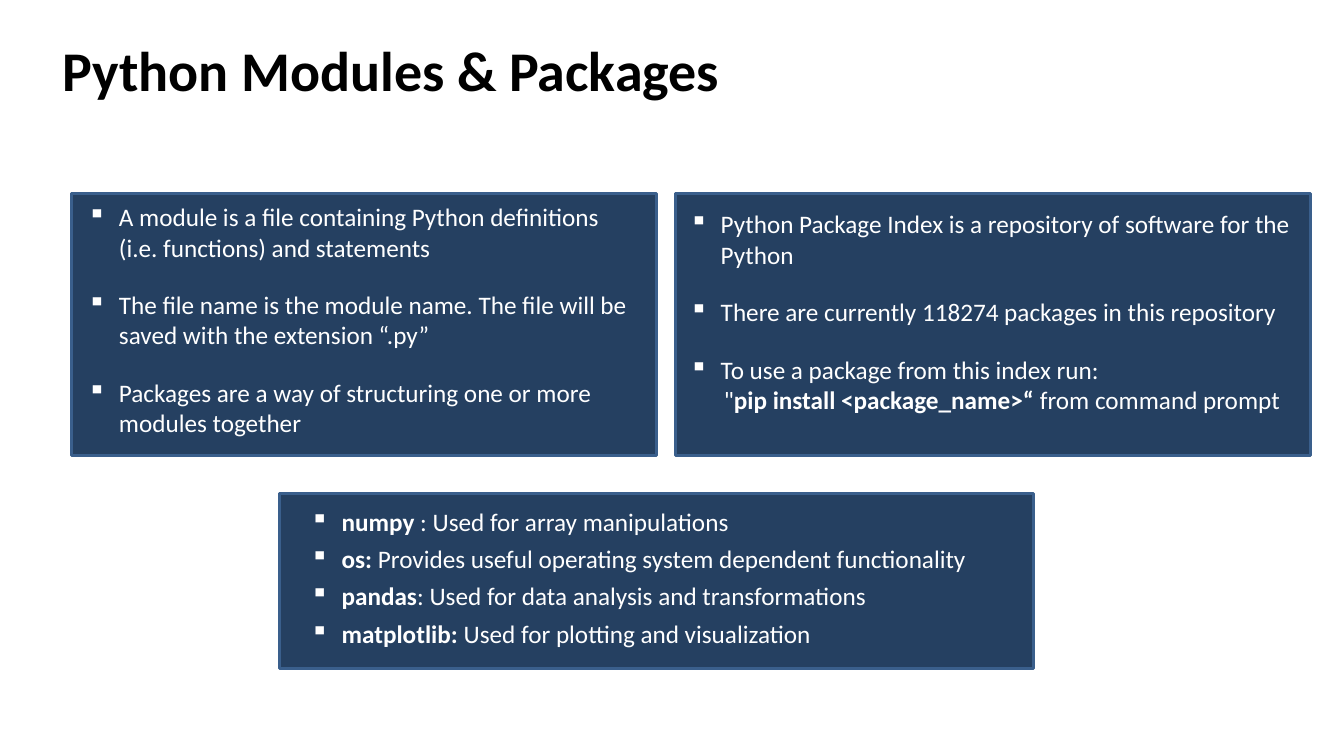
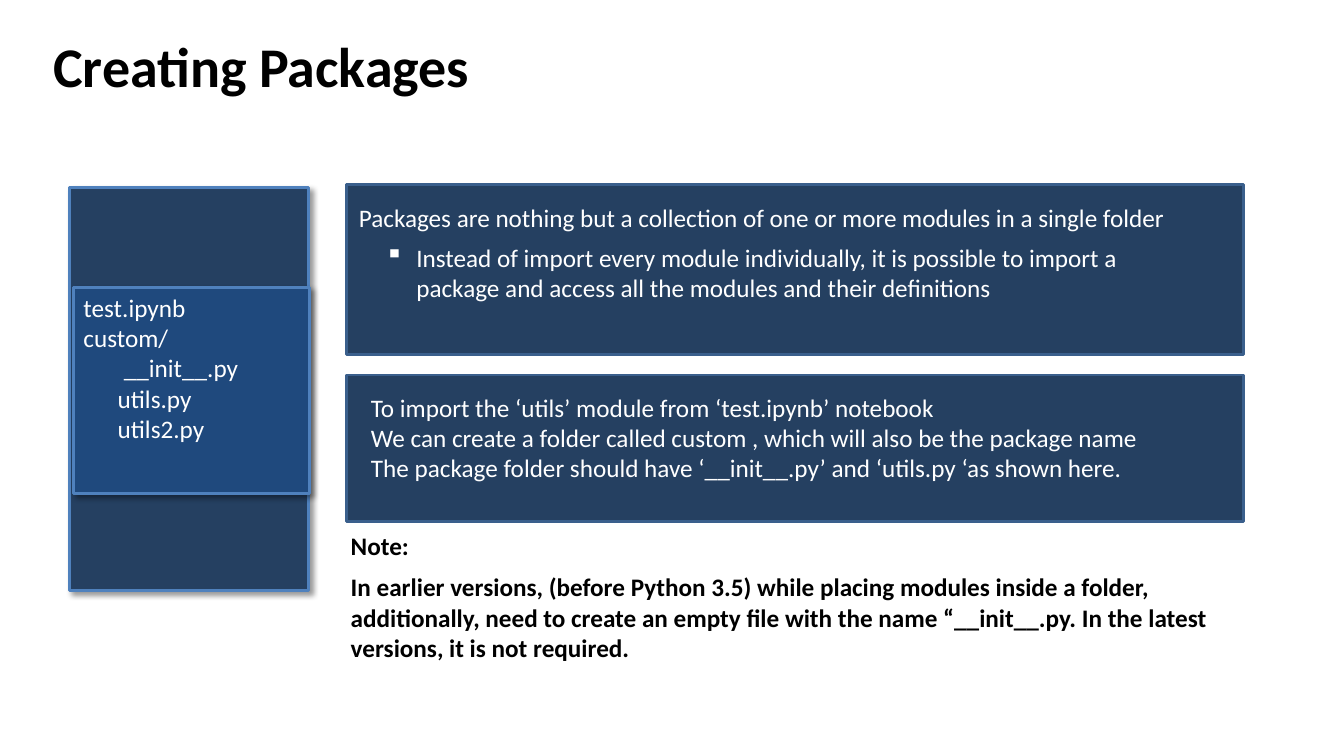
from dataclasses import dataclass
from typing import Any, NamedTuple

from lxml import etree
from pptx import Presentation
from pptx import util as u
from pptx.dml.color import RGBColor
from pptx.enum import shapes, text
from pptx.oxml import ns

CELL = 0.1
COLS, ROWS = 133.33, 75
FONT = "Calibri"
BODY, HEAD = 18, 40
WHITE, BLACK = "FFFFFF", "000000"
NAVY, BLUE = "254061", "1F497D"
EDGE, BRIGHT = "3A5F8C", "4F81BD"
HANG = 3.1
ITEM_GAP = 19.5


class Box(NamedTuple):
    col: float
    row: float
    cols: float
    rows: float


class Run(NamedTuple):
    text: str
    bold: bool = False


@dataclass(frozen=True)
class Para:
    runs: tuple[Run, ...]
    bullet: bool = False
    indent: float = 0
    before: float = 0
    after: float = 0
    spacing: Any = None


@dataclass(frozen=True)
class Panel:
    box: Box
    fill: str = NAVY
    edge: str = EDGE
    shadow: bool = False


@dataclass(frozen=True)
class Block:
    box: Box
    paras: tuple[Para, ...]
    color: str = WHITE


def grid(n: float) -> int:
    return u.Inches(n * CELL)


def rgb(value: str) -> RGBColor:
    return RGBColor.from_string(value)


def place(box: Box) -> tuple[int, ...]:
    return tuple(grid(n) for n in box)


def line(words: str, bold: bool = False, **style: Any) -> Para:
    return Para((Run(words, bold),), **style)


def items(*lines: str) -> tuple[Para, ...]:
    return tuple(line(words, bullet=True, before=ITEM_GAP if i else 0)
                 for i, words in enumerate(lines))


def library(name: str, use: str) -> Para:
    return Para((Run(name, True), Run(use)), bullet=True, after=8, spacing=u.Pt(18.7))


def write(tf: Any, paras: tuple[Para, ...], color: str, size: int = BODY) -> None:
    tf.word_wrap = True
    for i, para in enumerate(paras):
        p = tf.paragraphs[0] if i == 0 else tf.add_paragraph()
        p.alignment = text.PP_ALIGN.LEFT
        p.space_before, p.space_after = u.Pt(para.before), u.Pt(para.after)
        if para.spacing:
            p.line_spacing = para.spacing
        pPr = p._p.get_or_add_pPr()
        pPr.set("marL", str(grid(HANG if para.bullet else para.indent)))
        pPr.set("indent", str(-grid(HANG) if para.bullet else 0))
        if para.bullet:
            etree.SubElement(pPr, ns.qn("a:buChar")).set("char", "▪")
        for run in para.runs:
            r = p.add_run()
            r.text = run.text
            r.font.name, r.font.size, r.font.bold = FONT, u.Pt(size), run.bold
            r.font.color.rgb = rgb(color)


def cast_shadow(sp: Any) -> None:
    effects = sp._element.spPr.find(ns.qn("a:effectLst"))
    outer = etree.SubElement(effects, ns.qn("a:outerShdw"), blurRad=str(u.Pt(4)),
                             dist=str(u.Pt(3)), dir=str(45 * 60000),
                             algn="tl", rotWithShape="0")
    color = etree.SubElement(outer, ns.qn("a:srgbClr"), val=BLACK)
    etree.SubElement(color, ns.qn("a:alpha"), val="40000")


def add_panel(parent: Any, panel: Panel) -> Any:
    sp = parent.add_shape(shapes.MSO_SHAPE.RECTANGLE, *place(panel.box))
    sp.shadow.inherit = False
    sp.fill.solid()
    sp.fill.fore_color.rgb = rgb(panel.fill)
    sp.line.color.rgb = rgb(panel.edge)
    sp.line.width = u.Pt(2)
    if panel.shadow:
        cast_shadow(sp)
    return sp


def add_block(s: Any, block: Block) -> None:
    tf = s.shapes.add_textbox(*place(block.box)).text_frame
    tf.margin_left = tf.margin_right = tf.margin_top = tf.margin_bottom = 0
    write(tf, block.paras, block.color)


def add_title(s: Any, words: str, col: float, row: float) -> None:
    tf = s.shapes.add_textbox(*place(Box(col, row, 117.8, 12.5))).text_frame
    tf.vertical_anchor = text.MSO_ANCHOR.MIDDLE
    write(tf, (line(words, True),), BLACK, HEAD)


def add_file_tree(s: Any) -> None:
    group = s.shapes.add_group_shape().shapes
    add_panel(group, Panel(Box(6.9, 18.6, 23.7, 40), NAVY, BRIGHT, True))
    sp = add_panel(group, Panel(Box(7.3, 28.5, 23.4, 20.5), BLUE, BRIGHT, True))
    tf = sp.text_frame
    tf.vertical_anchor = text.MSO_ANCHOR.TOP
    write(tf, (
        line("test.ipynb"),
        line("custom/"),
        line("__init__.py", indent=4),
        line("utils.py", indent=3.4),
        line("utils2.py", indent=3.4),
    ), WHITE)


def add_slide(prs: Any, title: tuple[str, float, float],
              panels: tuple[Panel, ...], blocks: tuple[Block, ...]) -> Any:
    s = prs.slides.add_slide(prs.slide_layouts[6])
    for panel in panels:
        add_panel(s.shapes, panel)
    add_title(s, *title)
    for block in blocks:
        add_block(s, block)
    return s


def modules_slide(prs: Any) -> None:
    top, height = 19.2, 26
    panels = (
        Panel(Box(67, top, 63, height)),
        Panel(Box(27.7, 49, 74.8, 17.3)),
        Panel(Box(7.1, top, 58, height)),
    )
    pip = Para((Run('"'), Run("pip install\u00a0<package_name>“ ", True),
                Run("from command prompt")), indent=3.4)
    blocks = (
        Block(Box(68.4, 20.7, 60.2, 20.5), items(
            "Python Package Index is a repository of software for the Python",
            "There are currently 118274 packages in this repository",
            "To use a package from this index run:") + (pip,)),
        Block(Box(8.7, 20, 54.1, 23.6), items(
            "A module is a file containing Python definitions (i.e. functions) and statements",
            "The file name is the module name. The file will be saved with the extension “.py”",
            "Packages are a way of structuring one or more modules together")),
        Block(Box(30.8, 50.6, 71.7, 14), (
            library("numpy ", ": Used for array manipulations"),
            library("os: ", "Provides useful operating system dependent functionality"),
            library("pandas", ": Used for data analysis and transformations"),
            library("matplotlib: ", "Used for plotting and visualization"))),
    )
    add_slide(prs, ("Python Modules & Packages", 5.2, 0.6), panels, blocks)


def packages_slide(prs: Any) -> None:
    left, width = 34.4, 89
    panels = (
        Panel(Box(left, 37.2, width, 14.5)),
        Panel(Box(left, 18.3, width, 16.9)),
    )
    blocks = (
        Block(Box(35.6, 18.6, 81.8, 4.1), (line(
            "Packages are nothing but a collection of one or more modules in a single folder",
            spacing=1.5, after=8),)),
        Block(Box(38.2, 24, 80.1, 6.1), items(
            "Instead of import every module individually, it is possible to import a "
            "package and access all the modules and their definitions")),
        Block(Box(36.8, 38.9, 84.2, 9.1), (
            line("To import the ‘utils’ module from ‘test.ipynb’ notebook"),
            line("We can create a folder called custom , which will also be the package name"),
            line("The package folder should have ‘__init__.py’ and ‘utils.py ‘as shown here."))),
        Block(Box(34.8, 52.6, 89.3, 13.2), (
            line("Note:", True, after=8),
            line("In earlier versions, (before Python 3.5) while placing modules inside a folder, "
                 "additionally, need to create an empty file with the name “__init__.py. "
                 "In the latest versions, it is not required.", True, after=8)), BLACK),
    )
    s = add_slide(prs, ("Creating Packages", 4.3, 0.2), panels, blocks)
    add_file_tree(s)


def main() -> None:
    prs = Presentation()
    prs.slide_width, prs.slide_height = grid(COLS), grid(ROWS)
    modules_slide(prs)
    packages_slide(prs)
    prs.save("out.pptx")


if __name__ == "__main__":
    main()
